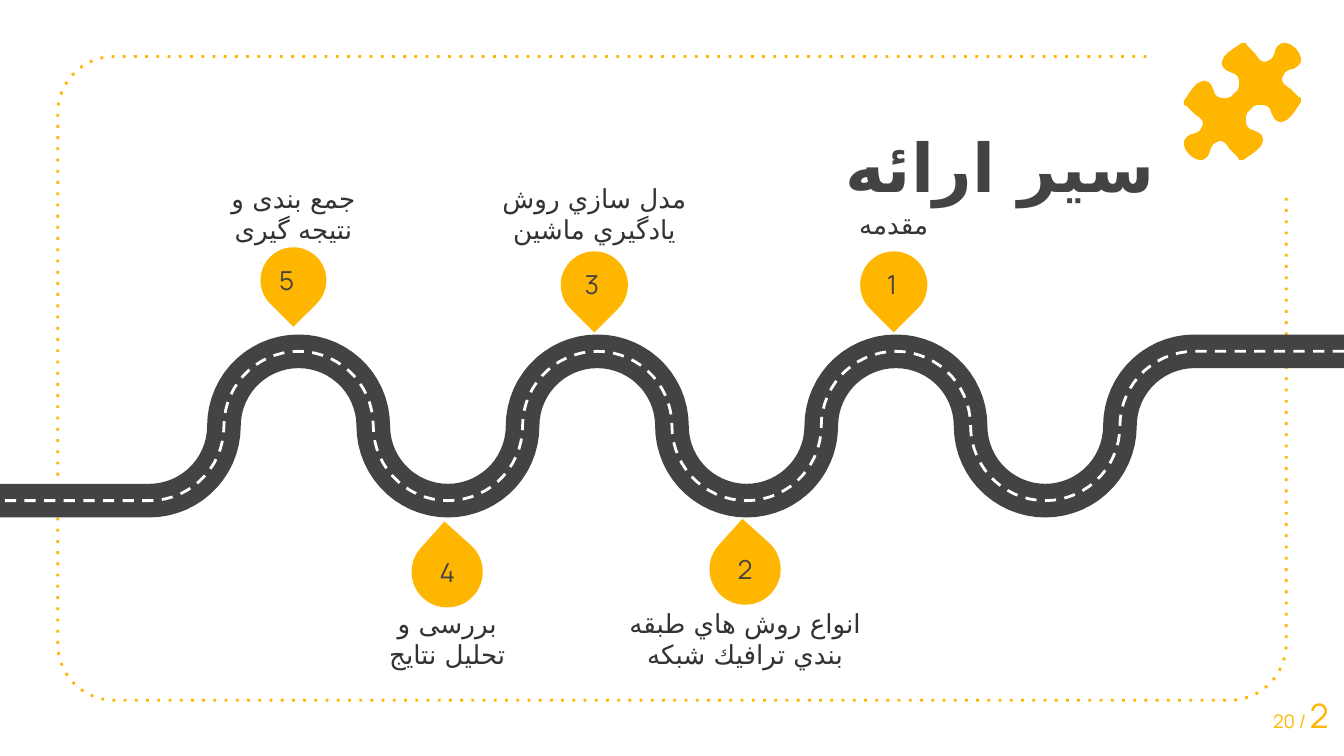
from dataclasses import dataclass
from math import cos, radians, sin

from lxml.etree import SubElement
from pptx import Presentation
from pptx.dml.color import RGBColor
from pptx.enum.shapes import MSO_SHAPE as Kind
from pptx.enum.text import MSO_ANCHOR as Anchor, MSO_AUTO_SIZE as Fit, PP_ALIGN as Align
from pptx.oxml.ns import qn
from pptx.util import Inches, Pt

GOLD = RGBColor(0xFF, 0xB6, 0x00)
DARK = RGBColor(0x43, 0x43, 0x43)
INK = RGBColor(0x33, 0x33, 0x33)
WHITE = RGBColor(0xFF, 0xFF, 0xFF)
SCRIPT = "DejaVu Sans"

WIDE, HIGH = 10, 5.625
COL = WIDE / 18
MID = 3.17

Point = tuple[float, float]


@dataclass(frozen=True)
class Stop:
    num: str
    text: str
    col: float
    top: float
    size: float
    inset: float
    label_top: float
    label_wide: float
    below: bool = False


STOPS = [
    Stop("1", "مقدمه", 11.97, 1.87, 0.5, 0.1, 1.38, 1.48),
    Stop("2", "انواع روش هاي طبقه بندي ترافيك شبكه", 9.98, 3.97, 0.53, 0.11, 4.46, 1.74, True),
    Stop("3", "مدل سازي روش يادگيري ماشين", 7.96, 1.87, 0.5, 0.08, 1.3, 1.48),
    Stop("4", "بررسی و تحلیل نتایج", 5.99, 3.99, 0.53, 0.11, 4.46, 1, True),
    Stop("5", "جمع بندی و نتیجه گیری", 3.93, 1.84, 0.49, 0.04, 1.3, 1),
]

NOTCH = [(43, 0), (40, 2), (37, 4), (33, 7), (30, 10), (29, 12), (28, 15), (29, 18),
         (31, 20), (35, 22), (38, 23), (40, 25), (41, 28), (41, 32), (40, 35), (38, 37)]
TAB = [(0, 44), (0, 46), (2, 47), (5, 50), (8, 53), (11, 55), (13, 57), (14, 59),
       (14, 61), (12, 65), (9, 67), (5, 68), (2, 70), (0, 73), (0, 76), (1, 79), (3, 82)]
SPAN = 87


def arc(x: float, y: float, r: float, start: int, stop: int) -> list[Point]:
    count = abs(stop - start) // 6
    turns = [radians(start + (stop - start) * i / count) for i in range(count + 1)]
    return [(x + r * cos(t), y + r * sin(t)) for t in turns]


def draw_path(slide, points: list[Point], close: bool = False):
    dots = [(Inches(x), Inches(y)) for x, y in points]
    pen = slide.shapes.build_freeform(*dots[0], scale=1.0)
    pen.add_line_segments(dots[1:], close=close)
    shape = pen.convert_to_shape()
    shape.shadow.inherit = False
    return shape


def draw_line(slide, points: list[Point], color: RGBColor, width: float, dash: str) -> None:
    shape = draw_path(slide, points)
    shape.fill.background()
    shape.line.color.rgb = color
    shape.line.width = Pt(width)
    SubElement(shape.line._get_or_add_ln(), qn("a:prstDash"), val=dash)


def draw_frame(slide) -> None:
    r = 0.42
    left, top, right, base = 0.43, 0.42, WIDE - 0.43, 5.21
    points = [(8.53, top)]
    points += arc(left + r, top + r, r, -90, -180)
    points += arc(left + r, base - r, r, 180, 90)
    points += arc(right - r, base - r, r, 90, 0)
    draw_line(slide, points + [(right, 1.46)], GOLD, 1.5, "dot")


def draw_road(slide) -> None:
    points = [(WIDE, MID - COL)]
    for i, col in enumerate(range(16, 0, -2)):
        side = 1 if i % 2 else -1
        start, stop = (90 if col == 16 else 0), (90 if col == 2 else 180)
        points += arc(col * COL, MID, COL, side * start, side * stop)
    points.append((0, MID + COL))
    draw_line(slide, points, DARK, 18, "solid")
    draw_line(slide, points, WHITE, 1.5, "dash")


def draw_puzzle(slide) -> None:
    half = NOTCH + [(y, x) for x, y in reversed(NOTCH)]
    half += TAB + [(SPAN - y, SPAN - x) for x, y in reversed(TAB)]
    whole = half + [(SPAN - x, SPAN - y) for x, y in half]
    shape = draw_path(slide, [(8.81 + x / 100, 0.32 + y / 100) for x, y in whole], True)
    shape.fill.solid()
    shape.fill.fore_color.rgb = GOLD
    shape.line.fill.background()


def add_run(para, text: str, size: float, font: str, color: RGBColor, bold: bool = False):
    run = para.add_run()
    run.text = text
    run.font.size = Pt(size)
    run.font.name = font
    run.font.bold = bold
    run.font.color.rgb = color
    SubElement(run.font._element, qn("a:cs"), typeface=SCRIPT)
    return run


def add_edge(run) -> None:
    props = run.font._element
    edge = SubElement(props, qn("a:ln"), w=str(Pt(0.75)))
    fill = SubElement(edge, qn("a:solidFill"))
    tone = SubElement(fill, qn("a:srgbClr"), val="404040")
    SubElement(tone, qn("a:alpha"), val="10000")
    props.insert(0, edge)


def add_box(slide, x: float, y: float, w: float, h: float):
    frame = slide.shapes.add_textbox(Inches(x), Inches(y), Inches(w), Inches(h)).text_frame
    frame.word_wrap = True
    return frame


def draw_title(slide) -> None:
    title = slide.shapes.title
    title.left, title.top, title.width, title.height = map(Inches, (0.89, 0.83, 7.8, 0.94))
    frame = title.text_frame
    frame.margin_left = frame.margin_right = frame.margin_top = frame.margin_bottom = Inches(0.1)
    frame.vertical_anchor = Anchor.TOP
    frame.auto_size = Fit.NONE
    para = frame.paragraphs[0]
    para.alignment = Align.RIGHT
    para._p.get_or_add_pPr().set("rtl", "1")
    add_edge(add_run(para, "سیر ارائه", 36, "Lato", DARK, True))


def draw_stop(slide, stop: Stop) -> None:
    mid = stop.col * COL
    left = mid - stop.size / 2
    pin = slide.shapes.add_shape(Kind.TEAR, *map(Inches, (left, stop.top, stop.size, stop.size)))
    pin.shadow.inherit = False
    pin.rotation = 311.9 if stop.below else 135
    pin.fill.solid()
    pin.fill.fore_color.rgb = GOLD
    pin.line.fill.background()

    drop = 0.1 if stop.below else 0.08
    frame = add_box(slide, left + stop.inset, stop.top + drop, 0.47, 0.34)
    frame.auto_size = Fit.SHAPE_TO_FIT_TEXT
    add_run(frame.paragraphs[0], stop.num, 14, "Manrope", DARK)

    label = add_box(slide, mid - stop.label_wide / 2, stop.label_top, stop.label_wide, 0.58)
    label.margin_left = label.margin_right = label.margin_top = label.margin_bottom = 0
    label.vertical_anchor = Anchor.MIDDLE
    para = label.paragraphs[0]
    para.alignment = Align.CENTER
    add_edge(add_run(para, stop.text, 14, "Lato", INK))


def draw_page(slide) -> None:
    frame = add_box(slide, 9.32, 5.12, 0.72, 0.4)
    frame.auto_size = Fit.SHAPE_TO_FIT_TEXT
    para = frame.paragraphs[0]
    para.alignment = Align.CENTER
    add_run(para, "20 / ", 10, "Manrope", GOLD)
    add_run(para, "2", 18, "Manrope", GOLD)


def main() -> None:
    deck = Presentation()
    deck.slide_width, deck.slide_height = Inches(WIDE), Inches(HIGH)
    slide = deck.slides.add_slide(deck.slide_layouts[5])
    draw_frame(slide)
    draw_title(slide)
    draw_road(slide)
    draw_puzzle(slide)
    for stop in STOPS:
        draw_stop(slide, stop)
    draw_page(slide)
    deck.save("out.pptx")


if __name__ == "__main__":
    main()
